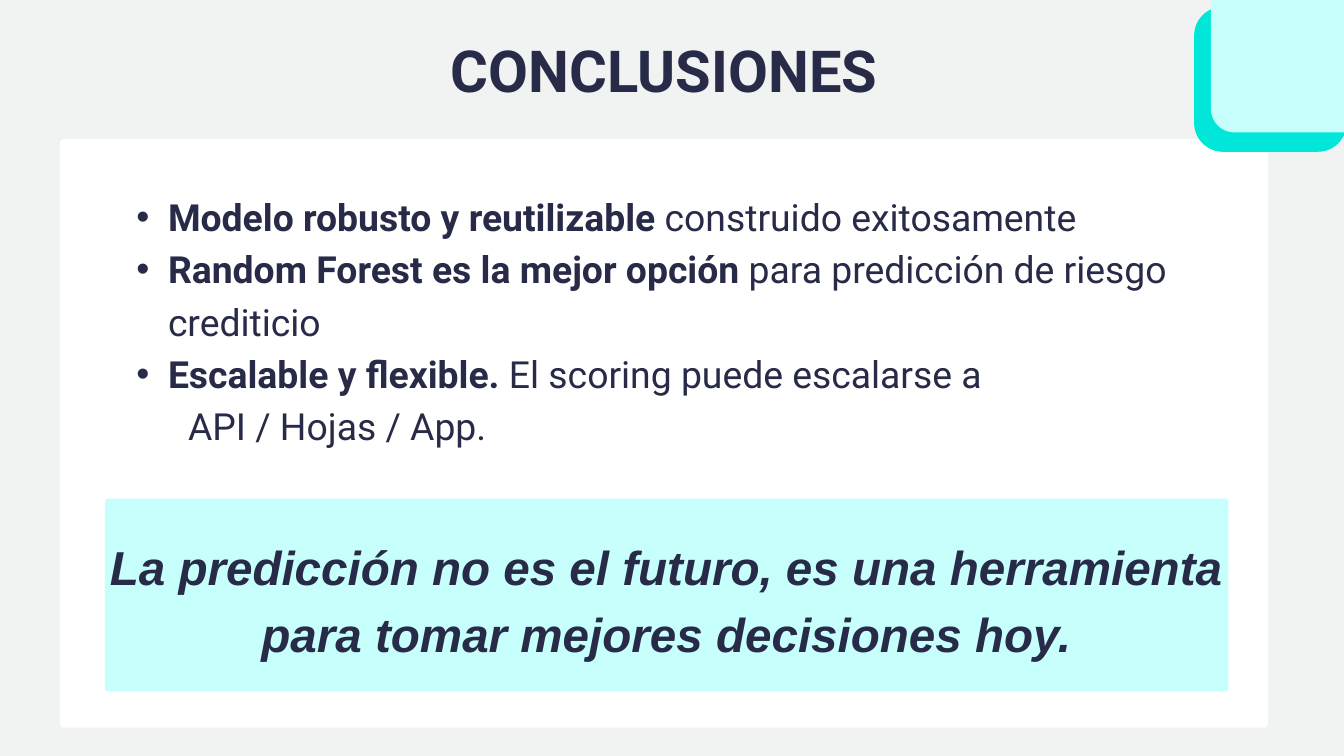
from lxml.etree import SubElement
from pptx import Presentation
from pptx.dml.color import RGBColor
from pptx.enum.shapes import MSO_SHAPE
from pptx.enum.text import MSO_ANCHOR, MSO_AUTO_SIZE, PP_ALIGN
from pptx.oxml.ns import qn
from pptx.util import Inches, Pt

BACKGROUND = RGBColor(0xF1, 0xF2, 0xF2)
WHITE = RGBColor(0xFF, 0xFF, 0xFF)
PALE_AQUA = RGBColor(0xC6, 0xFF, 0xFC)
TURQUOISE = RGBColor(0x00, 0xE6, 0xD8)
NAVY = RGBColor(0x27, 0x2B, 0x47)

TITLE_FONT = {"name": "Roboto", "size": Pt(62), "bold": True}
BODY_FONT = {"name": "Roboto", "size": Pt(40), "bold": False}
QUOTE_FONT = {"name": "Arial", "size": Pt(51), "bold": True, "italic": True}

CONCLUSIONS = [
    ("Modelo robusto y reutilizable ", "construido exitosamente"),
    ("Random Forest es la mejor opción ", "para predicción de riesgo crediticio"),
    ("Escalable y flexible. ", "El scoring puede escalarse a"),
]
CONTINUATION = "API / Hojas / App."
QUOTE = "La predicción no es el futuro, es una herramienta para tomar mejores decisiones hoy."


def apply_format(target, values):
    for name, value in values.items():
        setattr(target, name, value)


class SlideBuilder:
    def __init__(self, slide):
        self.slide = slide
        self.color = NAVY
        self.frame_format = {
            "margin_left": 0, "margin_top": 0, "margin_right": 0, "margin_bottom": 0,
            "word_wrap": True, "auto_size": MSO_AUTO_SIZE.NONE,
        }

    def background(self, color):
        fill = self.slide.background.fill
        fill.solid()
        fill.fore_color.rgb = color

    def panel(self, left, top, width, height, radius, color):
        shape = self.slide.shapes.add_shape(
            MSO_SHAPE.ROUNDED_RECTANGLE,
            Inches(left), Inches(top), Inches(width), Inches(height))
        shape.adjustments[0] = radius / min(width, height)
        shape.fill.solid()
        shape.fill.fore_color.rgb = color
        shape.line.fill.background()
        shape.shadow.inherit = False
        return shape

    def place(self, shape, left, top, width, height):
        apply_format(shape, {
            "left": Inches(left), "top": Inches(top),
            "width": Inches(width), "height": Inches(height),
        })
        shape.element.getparent().append(shape.element)

    def frame(self, shape, anchor):
        apply_format(shape.text_frame, {**self.frame_format, "vertical_anchor": anchor})

    def paragraph(self, paragraph, runs, font, spacing, alignment):
        apply_format(paragraph, {
            "alignment": alignment, "line_spacing": Pt(spacing),
            "space_before": Pt(0), "space_after": Pt(0),
        })
        for text, changes in runs:
            run = paragraph.add_run()
            run.text = text
            apply_format(run.font, {**font, **changes})
            run.font.color.rgb = self.color

    def indent(self, paragraph, margin, first_line, bullet=None):
        properties = paragraph._p.get_or_add_pPr()
        properties.set("marL", str(Inches(margin)))
        properties.set("indent", str(Inches(first_line)))
        if bullet:
            SubElement(properties, qn("a:buFont")).set("typeface", "Arial")
            SubElement(properties, qn("a:buChar")).set("char", bullet)
        else:
            SubElement(properties, qn("a:buNone"))

    def title(self, text):
        shape = self.slide.shapes.title
        self.place(shape, 1.01, 0.52, 17.75, 1.03)
        self.frame(shape, MSO_ANCHOR.TOP)
        self.paragraph(shape.text_frame.paragraphs[0], [(text, {})],
                       TITLE_FONT, 74.4, PP_ALIGN.CENTER)

    def conclusions(self, items, continuation):
        shape = self.slide.placeholders[1]
        self.place(shape, 1.56, 2.78, 16.72, 3.9)
        self.frame(shape, MSO_ANCHOR.TOP)
        paragraph = shape.text_frame.paragraphs[0]
        for lead, detail in items:
            self.paragraph(paragraph, [(lead, {"bold": True}), (detail, {})],
                           BODY_FONT, 56, PP_ALIGN.LEFT)
            self.indent(paragraph, 0.94, -0.47, "•")
            paragraph = shape.text_frame.add_paragraph()
        self.paragraph(paragraph, [(continuation, {})], BODY_FONT, 56, PP_ALIGN.LEFT)
        self.indent(paragraph, 1.24, 0)

    def quote(self, text):
        shape = self.panel(1.56, 7.42, 16.72, 2.87, 0.05, PALE_AQUA)
        self.frame(shape, MSO_ANCHOR.MIDDLE)
        self.paragraph(shape.text_frame.paragraphs[0], [(text, {})],
                       QUOTE_FONT, 71.4, PP_ALIGN.CENTER)


def main():
    presentation = Presentation()
    presentation.slide_width = Inches(20)
    presentation.slide_height = Inches(11.25)
    builder = SlideBuilder(presentation.slides.add_slide(presentation.slide_layouts[1]))
    builder.background(BACKGROUND)
    builder.panel(0.89, 2.07, 17.98, 8.76, 0.06, WHITE)
    builder.quote(QUOTE)
    builder.conclusions(CONCLUSIONS, CONTINUATION)
    builder.panel(17.77, 0.1, 2.27, 2.16, 0.43, TURQUOISE)
    builder.panel(18.02, -0.7, 2.85, 2.67, 0.35, PALE_AQUA)
    builder.title("CONCLUSIONES")
    presentation.save("out.pptx")


if __name__ == "__main__":
    main()
